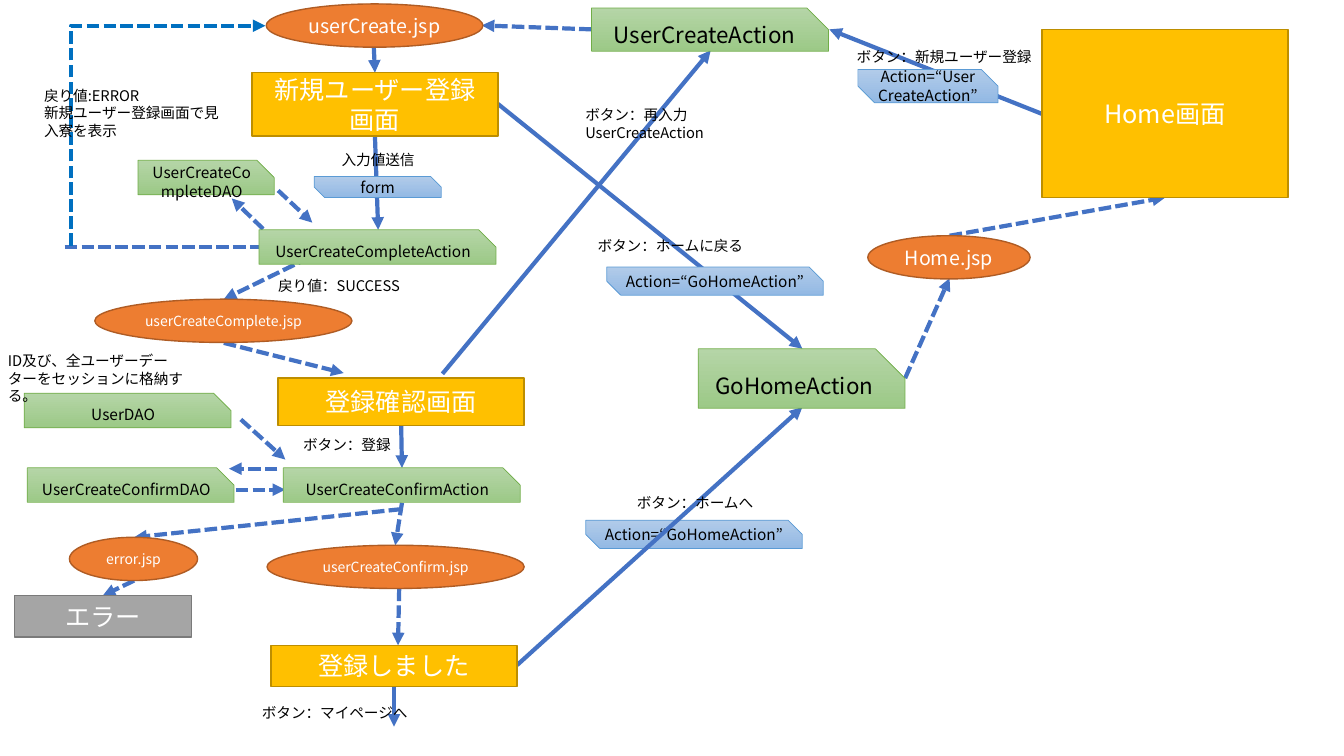
import pptx
import pptx.util
import pptx.dml.color
import pptx.enum.dml
import pptx.enum.shapes
import pptx.enum.text
import pptx.oxml.ns
from lxml import etree

Cm = pptx.util.Cm
Pt = pptx.util.Pt
RGBColor = pptx.dml.color.RGBColor
SHAPE = pptx.enum.shapes.MSO_SHAPE
LINK = pptx.enum.shapes.MSO_CONNECTOR
ANCHOR = pptx.enum.text.MSO_ANCHOR
ALIGN = pptx.enum.text.PP_ALIGN
AUTO_SIZE = pptx.enum.text.MSO_AUTO_SIZE
qn = pptx.oxml.ns.qn

FONT = "Noto Sans CJK JP"
WHITE = RGBColor(0xFF, 0xFF, 0xFF)
BLACK = RGBColor(0, 0, 0)
YELLOW, YELLOW_EDGE = RGBColor(0xFF, 0xC0, 0x00), RGBColor(0xBD, 0x8E, 0x00)
GRAY, GRAY_EDGE = RGBColor(0xA5, 0xA5, 0xA5), RGBColor(0x7A, 0x7A, 0x7A)
ORANGE, ORANGE_EDGE = RGBColor(0xED, 0x7D, 0x31), RGBColor(0xAF, 0x5C, 0x24)
GREEN_TOP, GREEN_BOTTOM = RGBColor(0xB5, 0xD5, 0xA7), RGBColor(0x9C, 0xC9, 0x87)
GREEN_EDGE = RGBColor(0x70, 0xAD, 0x47)
SKY_TOP, SKY_BOTTOM = RGBColor(0xB1, 0xCB, 0xE9), RGBColor(0x93, 0xB9, 0xE4)
SKY_EDGE = RGBColor(0x5B, 0x9B, 0xD5)
FLOW_BLUE = RGBColor(0x44, 0x72, 0xC4)
RETURN_BLUE = RGBColor(0x00, 0x70, 0xC0)

# Kind of node: preset, adjustments, fill colours, edge, edge width, text colour
KINDS = {
    "screen": (SHAPE.RECTANGLE, [], [YELLOW], YELLOW_EDGE, 1, WHITE),
    "error": (SHAPE.RECTANGLE, [], [GRAY], GRAY_EDGE, 1, WHITE),
    "jsp": (SHAPE.OVAL, [], [ORANGE], ORANGE_EDGE, 1, WHITE),
    "class": (SHAPE.SNIP_1_RECTANGLE, [0.5], [GREEN_TOP, GREEN_BOTTOM], GREEN_EDGE, 0.5, BLACK),
    "request": (SHAPE.SNIP_2_DIAG_RECTANGLE, [0, 0.5], [SKY_TOP, SKY_BOTTOM], SKY_EDGE, 0.5, BLACK),
}
NODE_FRAME = {"word_wrap": True, "vertical_anchor": ANCHOR.MIDDLE}
LABEL_FRAME = {"word_wrap": True, "auto_size": AUTO_SIZE.SHAPE_TO_FIT_TEXT}

deck = pptx.Presentation()
deck.slide_width, deck.slide_height = Cm(33.87), Cm(19.05)
slide = deck.slides.add_slide(deck.slide_layouts[6])


def write(shape, text, size, color, align, frame_format):
    frame = shape.text_frame
    for name, value in frame_format.items():
        setattr(frame, name, value)
    frame.text = text
    for paragraph in frame.paragraphs:
        paragraph.alignment = align
        font = paragraph.runs[0].font
        for name, value in {"name": FONT, "size": Pt(size)}.items():
            setattr(font, name, value)
        font.color.rgb = color
        east_asian = etree.SubElement(paragraph.runs[0]._r.get_or_add_rPr(), qn("a:ea"))
        east_asian.set("typeface", FONT)


def add_node(kind, text, size, x, y, width, height):
    preset, adjustments, colors, edge, edge_width, text_color = KINDS[kind]
    node = slide.shapes.add_shape(preset, Cm(x), Cm(y), Cm(width), Cm(height))
    node.shadow.inherit = False
    for index, value in enumerate(adjustments):
        node.adjustments[index] = value
    if len(colors) == 1:
        node.fill.solid()
        node.fill.fore_color.rgb = colors[0]
    else:
        node.fill.gradient()
        node.fill.gradient_angle = 270
        for stop, color in zip(node.fill.gradient_stops, colors):
            stop.color.rgb = color
    node.line.color.rgb = edge
    node.line.width = Pt(edge_width)
    write(node, text, size, text_color, ALIGN.CENTER, NODE_FRAME)


# The request that lies beneath its arrow
add_node("request", "Action=“GoHomeAction”", 11, 14.76, 13.11, 5.46, 0.71)

# Flow lines: from x, y to x, y
button_flows = [
    (26.26, 2.87, 20.9, 0.74),
    (13.03, 16.76, 20.22, 10.26),
    (9.45, 3.43, 9.53, 5.79),
    (11.15, 9.42, 17.91, 1.27),
    (10.11, 10.72, 10.13, 11.79),
    (9.93, 17.27, 9.93, 18.31),
    (12.55, 2.62, 20.22, 8.79),
]
server_flows = [
    (23.93, 5.94, 29.36, 4.98),
    (14.91, 0.74, 12.14, 0.64),
    (8.18, 6.3, 5.64, 7.54),
    (22.81, 9.53, 23.93, 7.01),
    (5.64, 8.64, 8.66, 9.4),
    (9.42, 1.19, 9.45, 1.83),
    (6.63, 5.77, 5.84, 5),
    (7.01, 4.8, 7.87, 5.61),
    (10.13, 12.67, 9.96, 13.74),
    (10.06, 14.83, 10.03, 16.26),
    (5.94, 12.34, 7.19, 12.34),
    (6.99, 11.81, 5.77, 11.81),
    (10.11, 12.83, 3.38, 13.54),
    (3.38, 14.63, 2.59, 15.01),
    (6.07, 10.57, 7.19, 11.58),
]
error_start = (1.63, 6.22, 6.53, 6.22)
error_return = (7.01, 5.87, 1.47, 0.97)
for ends in button_flows + server_flows + [error_start, error_return]:
    bent = ends == error_return
    flow = slide.shapes.add_connector(LINK.ELBOW if bent else LINK.STRAIGHT, *map(Cm, ends))
    flow.line.color.rgb = RETURN_BLUE if bent else FLOW_BLUE
    flow.line.width = Pt(3)
    if ends not in button_flows:
        flow.line.dash_style = pptx.enum.dml.MSO_LINE.SQUARE_DOT
    properties = flow._element.spPr
    if ends != error_start:
        etree.SubElement(properties.find(qn("a:ln")), qn("a:tailEnd")).set("type", "triangle")
    etree.SubElement(properties, qn("a:effectLst"))
    if bent:  # a single corner, turned to run up and then right
        properties.find(qn("a:prstGeom")).set("prst", "bentConnector2")
        properties.find(qn("a:xfrm")).set("rot", "5400000")

# Screens, pages, classes and requests
for node in [
    ("screen", "Home画面", 18, 26.26, 0.74, 6.2, 4.24),
    ("screen", "新規ユーザー登録画面", 18, 6.35, 1.83, 6.2, 1.6),
    ("screen", "登録確認画面", 18, 7.01, 9.53, 6.2, 1.19),
    ("screen", "登録しました", 18, 6.83, 16.26, 6.2, 1.04),
    ("error", "エラー", 18, 0.36, 15.01, 4.47, 1.04),
    ("jsp", "Home.jsp", 14, 21.87, 5.94, 4.09, 1.09),
    ("jsp", "userCreate.jsp", 14, 6.71, 0.1, 5.46, 1.09),
    ("jsp", "userCreateComplete.jsp", 10, 2.39, 7.54, 6.48, 1.09),
    ("jsp", "userCreateConfirm.jsp", 10, 6.73, 13.74, 6.48, 1.09),
    ("jsp", "error.jsp", 10, 1.75, 13.54, 3.23, 1.09),
    ("class", "GoHomeAction", 16, 17.6, 8.79, 5.21, 1.5),
    ("class", "UserCreateAction", 16, 14.91, 0.2, 5.97, 1.09),
    ("class", "UserCreateCompleteAction", 11, 6.53, 5.79, 5.97, 0.87),
    ("class", "UserCreateCompleteDAO", 11, 3.48, 4.04, 3.43, 0.87),
    ("class", "UserCreateConfirmAction", 11, 7.14, 11.79, 5.97, 0.87),
    ("class", "UserCreateConfirmDAO", 11, 0.69, 11.79, 5.21, 0.87),
    ("class", "UserDAO", 11, 0.61, 9.91, 5.21, 0.87),
    ("request", "Action=“GoHomeAction”", 11, 15.29, 6.73, 5.46, 0.71),
    ("request", "Action=“UserCreateAction”", 11, 21.62, 1.75, 3.53, 0.84),
    ("request", "form", 11, 7.92, 4.45, 3.2, 0.53),
]:
    add_node(*node)

# Labels beside the flow lines
for text, x, y, width, height in [
    ("ボタン：新規ユーザー登録", 21.34, 1.07, 5.03, 0.71),
    ("ボタン：ホームに戻る", 14.81, 5.84, 5.03, 0.71),
    ("戻り値:ERROR\n新規ユーザー登録画面で見入寮を表示", 0.86, 2.06, 5.03, 1.6),
    ("戻り値：SUCCESS", 6.76, 6.86, 5.03, 0.71),
    ("ボタン：再入力\nUserCreateAction", 14.5, 2.54, 5.89, 1.14),
    ("ボタン：登録", 7.39, 10.87, 5.03, 0.71),
    ("ボタン：ホームへ", 15.8, 12.32, 5.03, 0.71),
    ("ボタン：マイページへ", 6.35, 17.6, 5.03, 0.71),
    ("入力値送信", 8.36, 3.68, 5.03, 0.71),
    ("ID及び、全ユーザーデーターをセッションに格納する。", -0.05, 8.74, 5.03, 1.6),
]:
    label = slide.shapes.add_textbox(Cm(x), Cm(y), Cm(width), Cm(height))
    write(label, text, 10.5, BLACK, ALIGN.LEFT, LABEL_FRAME)

deck.save("out.pptx")
